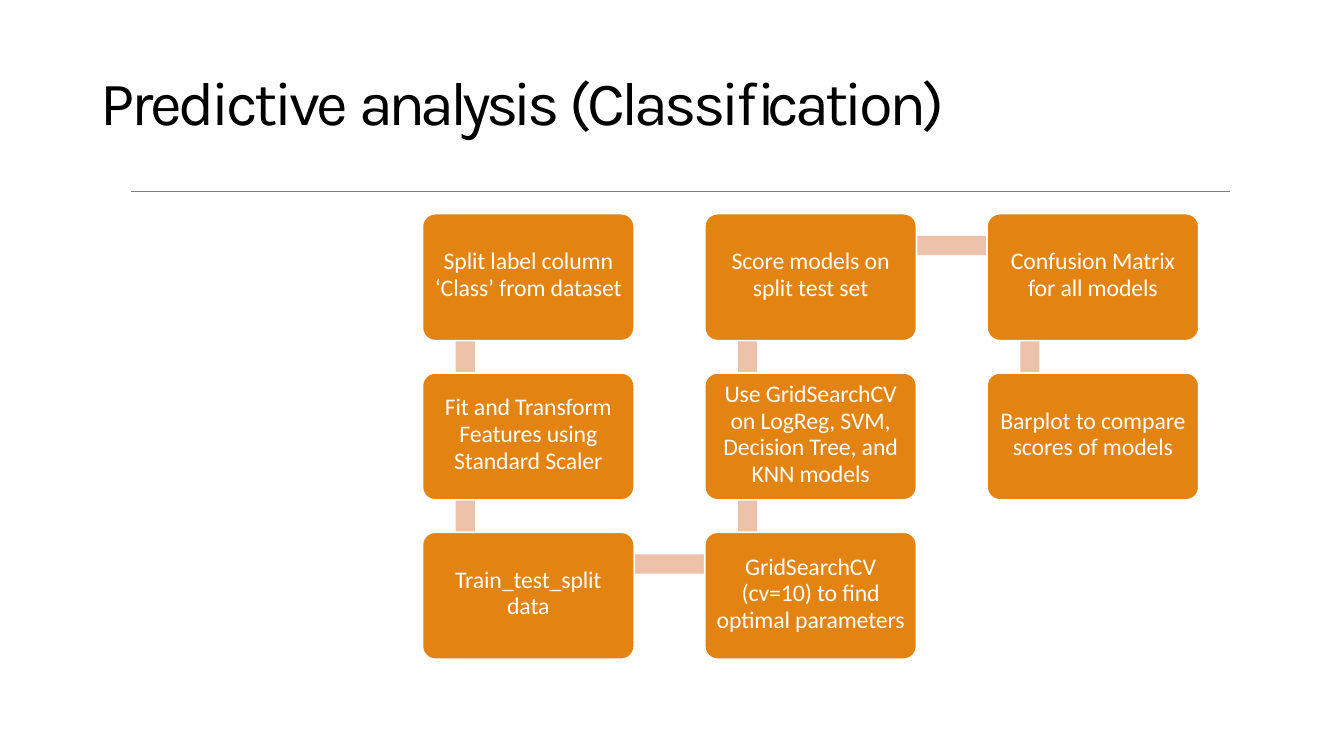
"""Build the slide on the steps of a classification analysis."""
import pptx
import pptx.dml.color
import pptx.enum.shapes
import pptx.enum.text
import pptx.oxml.ns
import pptx.util
from lxml import etree
from pptx.util import Inches

BLACK = pptx.dml.color.RGBColor(0x00, 0x00, 0x00)
WHITE = pptx.dml.color.RGBColor(0xFF, 0xFF, 0xFF)
ORANGE = pptx.dml.color.RGBColor(0xE2, 0x83, 0x12)
PEACH = pptx.dml.color.RGBColor(0xED, 0xC1, 0xAA)
GREY = pptx.dml.color.RGBColor(0x7D, 0x7D, 0x7D)

LEFT, TOP = 4.19, 2.12
COLUMN_PITCH, ROW_PITCH = 2.8, 1.58
BOX_WIDTH, BOX_HEIGHT = 2.1, 1.26
BAR_THICKNESS = 0.19

TITLE = [("Predictive ", -2.5), ("analysis ", -3.5), ("(Classification)", -2.8)]
STEPS = [
    (0, 0, ["Split label column", "‘Class’ from dataset"]),
    (0, 1, ["Fit and Transform", "Features using", "Standard Scaler"]),
    (0, 2, ["Train_test_split", "data"]),
    (1, 2, ["GridSearchCV", "(cv=10) to find", "optimal parameters"]),
    (1, 1, ["Use GridSearchCV", "on LogReg, SVM,", "Decision Tree, and", "KNN models"]),
    (1, 0, ["Score models on", "split test set"]),
    (2, 0, ["Confusion Matrix", "for all models"]),
    (2, 1, ["Barplot to compare", "scores of models"]),
]


def add_span(para, text, *, size, font, color, spacing):
    """Add formatted text to a paragraph, with letter spacing in points."""
    span = para.add_run()
    span.text = text
    span.font.size = pptx.util.Pt(size)
    span.font.name = font
    span.font.color.rgb = color
    span.font._element.set("spc", str(round(spacing * 100)))


def set_frame(frame, bottom=0):
    """Give a text frame narrow margins, wrapping and a middle anchor."""
    frame.margin_left = frame.margin_right = frame.margin_top = 0
    frame.margin_bottom = Inches(bottom)
    frame.word_wrap = True
    frame.auto_size = pptx.enum.text.MSO_AUTO_SIZE.NONE
    frame.vertical_anchor = pptx.enum.text.MSO_ANCHOR.MIDDLE


def add_title(page):
    """Place and fill the title placeholder."""
    title = page.shapes.title
    title.left, title.top = Inches(1), Inches(0.59)
    title.width, title.height = Inches(8.66), Inches(0.83)
    set_frame(title.text_frame)
    para = title.text_frame.paragraphs[0]
    para.alignment = pptx.enum.text.PP_ALIGN.LEFT
    for text, spacing in TITLE:
        add_span(para, text, size=44, font="Karla", color=BLACK, spacing=spacing)


def add_rule(page):
    """Draw the thin line under the title."""
    rule = page.shapes.add_connector(
        pptx.enum.shapes.MSO_CONNECTOR.STRAIGHT,
        Inches(1.3), Inches(1.9), Inches(12.2), Inches(1.9))
    rule.line.color.rgb = GREY
    rule.line.width = pptx.util.Pt(0.48)
    etree.SubElement(rule._element.spPr, pptx.oxml.ns.qn("a:effectLst"))


def add_block(page, kind, left, top, width, height, color):
    """Add a flat filled shape."""
    block = page.shapes.add_shape(
        kind, Inches(left), Inches(top), Inches(width), Inches(height))
    block.shadow.inherit = False
    block.fill.solid()
    block.fill.fore_color.rgb = color
    block.line.fill.background()
    return block


def cell_corner(column, row):
    """Return the left and top of a grid cell in inches."""
    return LEFT + column * COLUMN_PITCH, TOP + row * ROW_PITCH


def add_bar(page, start, end):
    """Join two neighbouring steps with a bar that runs behind their boxes."""
    left, top = cell_corner(min(start[0], end[0]), min(start[1], end[1]))
    if start[0] == end[0]:
        place = left + 0.33, top + 0.32, BAR_THICKNESS, ROW_PITCH
    else:
        place = left + 0.43, top + 0.22, COLUMN_PITCH, BAR_THICKNESS
    add_block(page, pptx.enum.shapes.MSO_SHAPE.RECTANGLE, *place, PEACH)


def add_step(page, column, row, lines):
    """Add the rounded box of one step with its centred lines."""
    box = add_block(page, pptx.enum.shapes.MSO_SHAPE.ROUNDED_RECTANGLE,
                    *cell_corner(column, row), BOX_WIDTH, BOX_HEIGHT, ORANGE)
    box.adjustments[0] = 0.1
    box.line.color.rgb = WHITE
    box.line.width = pptx.util.Pt(1.2)
    frame = box.text_frame
    set_frame(frame, bottom=0.05)
    for index, line in enumerate(lines):
        para = frame.add_paragraph() if index else frame.paragraphs[0]
        para.alignment = pptx.enum.text.PP_ALIGN.CENTER
        para.line_spacing = pptx.util.Pt(19)
        add_span(para, line, size=17, font="Calibri", color=WHITE, spacing=-0.1)


def main():
    """Build and save the deck."""
    deck = pptx.Presentation()
    deck.slide_width, deck.slide_height = Inches(13.33), Inches(7.5)
    page = deck.slides.add_slide(deck.slide_layouts[5])
    add_rule(page)
    add_title(page)
    for start, end in zip(STEPS, STEPS[1:]):
        add_bar(page, start, end)
    for column, row, lines in STEPS:
        add_step(page, column, row, lines)
    deck.save("out.pptx")


if __name__ == "__main__":
    main()
